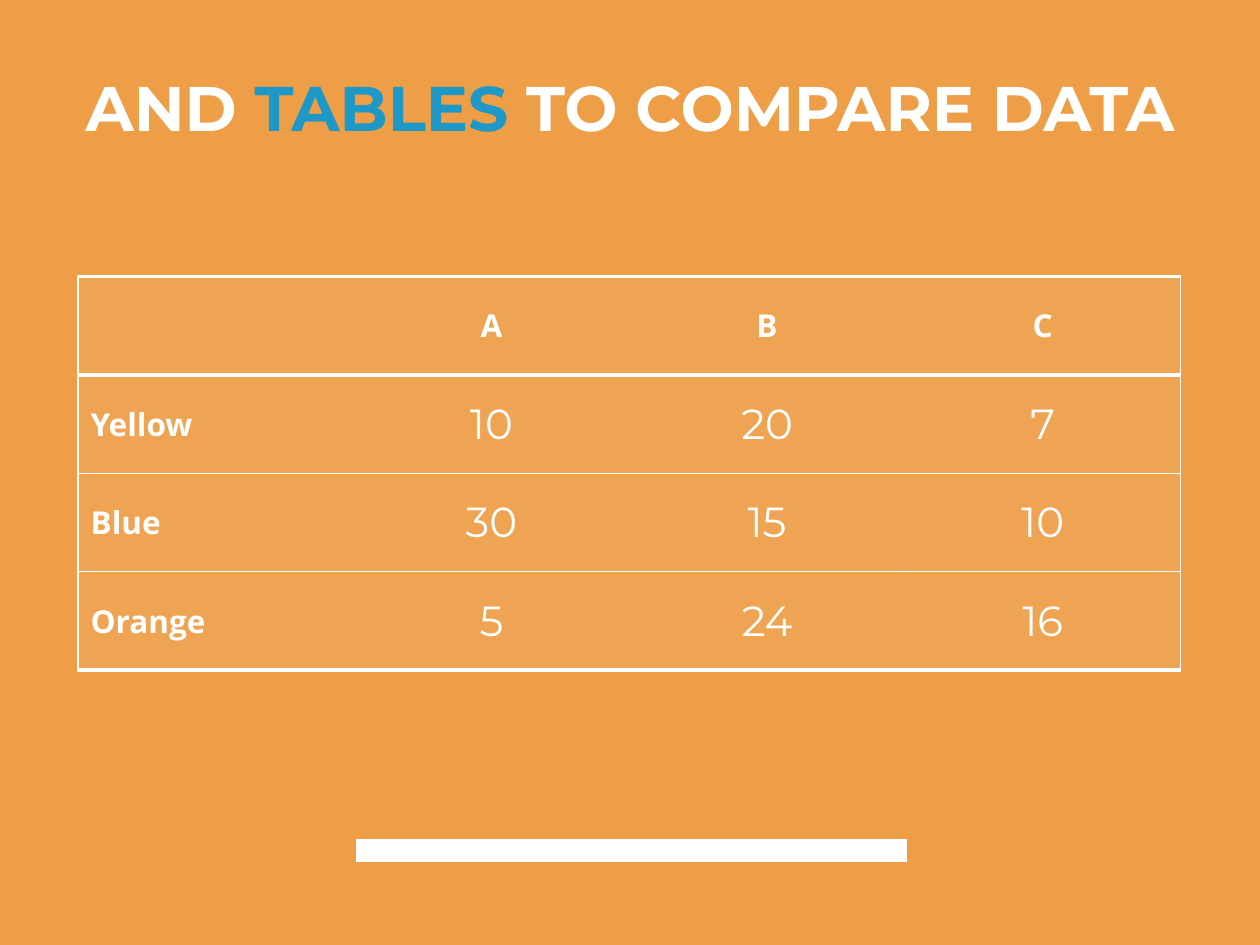
import lxml.etree
import pptx
import pptx.dml.color
import pptx.enum.shapes
import pptx.enum.text
import pptx.oxml.ns
import pptx.util

Pt = pptx.util.Pt
RGB = pptx.dml.color.RGBColor.from_string
qn = pptx.oxml.ns.qn
ALIGN = pptx.enum.text.PP_ALIGN
ANCHOR = pptx.enum.text.MSO_ANCHOR

theme = {
    "background": "ED9E46", "text": "FFFFFF", "accent": "1D98C7",
    "heading_font": "Montserrat", "label_font": "Open Sans",
    "title_size": 36, "label_size": 18, "value_size": 24,
    "cell_alpha": 7000, "thick": 2.25, "thin": 0.75, "inset": 7.2,
}


def style_run(run, font, size, bold, color=theme["text"]):
    run.font.name = font
    run.font.size = Pt(size)
    run.font.bold = bold
    run.font.color.rgb = RGB(color)


def set_borders(cell, widths):
    properties = cell._tc.get_or_add_tcPr()
    for position, (side, width) in enumerate(widths.items()):
        line = lxml.etree.Element(qn(f"a:ln{side}"), w=str(int(Pt(width))))
        properties.insert(position, line)
        if width:
            paint = lxml.etree.SubElement(line, qn("a:solidFill"))
            lxml.etree.SubElement(paint, qn("a:srgbClr"), val=theme["text"])
        else:
            lxml.etree.SubElement(line, qn("a:noFill"))


deck = pptx.Presentation()
deck.slide_width = Pt(720)
deck.slide_height = Pt(540)
slide = deck.slides.add_slide(deck.slide_layouts[6])
slide.background.fill.solid()
slide.background.fill.fore_color.rgb = RGB(theme["background"])

footer_bar = slide.shapes.add_shape(
    pptx.enum.shapes.MSO_SHAPE.RECTANGLE, Pt(203.5), Pt(479.5), Pt(314.7), Pt(13))
footer_bar.shadow.inherit = False
footer_bar.fill.solid()
footer_bar.fill.fore_color.rgb = RGB(theme["text"])
footer_bar.line.fill.background()

title = slide.shapes.add_textbox(Pt(36), Pt(28.8), Pt(648), Pt(60.5)).text_frame
title.word_wrap = True
title.vertical_anchor = ANCHOR.BOTTOM
title.margin_left = title.margin_right = Pt(theme["inset"])
title.margin_top = title.margin_bottom = Pt(theme["inset"])
title.paragraphs[0].alignment = ALIGN.CENTER
for words, color in [("AND ", "text"), ("TABLES", "accent"), (" TO COMPARE DATA", "text")]:
    run = title.paragraphs[0].add_run()
    run.text = words
    style_run(run, theme["heading_font"], theme["title_size"], True, theme[color])

data = [
    ["", "A", "B", "C"],
    ["Yellow", "10", "20", "7"],
    ["Blue", "30", "15", "10"],
    ["Orange", "5", "24", "16"],
]
last_row, last_column = len(data) - 1, len(data[0]) - 1
comparison = slide.shapes.add_table(
    len(data), len(data[0]), Pt(44.6), Pt(158), Pt(630), Pt(225)).table
comparison.first_row = False
comparison.horz_banding = False
for column in comparison.columns:
    column.width = Pt(157.5)
for row in comparison.rows:
    row.height = Pt(56.25)

for r, values in enumerate(data):
    for c, value in enumerate(values):
        cell = comparison.cell(r, c)
        cell.text_frame.text = value
        cell.vertical_anchor = ANCHOR.MIDDLE
        cell.margin_left = cell.margin_right = Pt(theme["inset"])
        cell.margin_top = cell.margin_bottom = Pt(theme["inset"])
        cell.fill.solid()
        cell.fill.fore_color.rgb = RGB(theme["text"])
        tint = cell._tc.tcPr.find(qn("a:solidFill"))[0]
        lxml.etree.SubElement(tint, qn("a:alpha"), val=str(theme["cell_alpha"]))
        set_borders(cell, {
            "L": theme["thin"] if c == 0 else 0,
            "R": theme["thin"] if c == last_column else 0,
            "T": theme["thick"] if r <= 1 else theme["thin"],
            "B": theme["thick"] if r in (0, last_row) else theme["thin"],
        })
        paragraph = cell.text_frame.paragraphs[0]
        paragraph.alignment = ALIGN.LEFT if c == 0 else ALIGN.CENTER
        is_label = r == 0 or c == 0
        for run in paragraph.runs:
            if is_label:
                style_run(run, theme["label_font"], theme["label_size"], True)
            else:
                style_run(run, theme["heading_font"], theme["value_size"], False)

deck.save("out.pptx")
